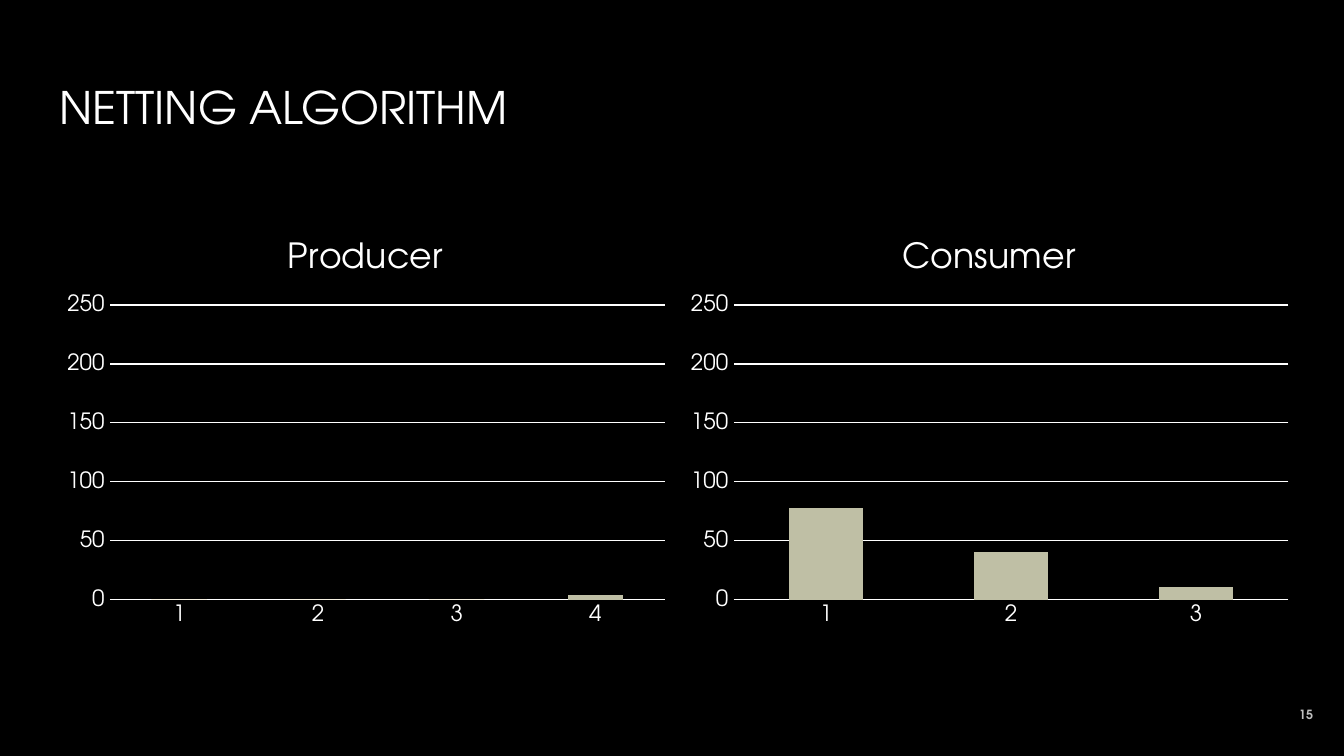
from lxml import etree
from pptx import Presentation
from pptx.chart.data import CategoryChartData
from pptx.dml.color import RGBColor
from pptx.enum.chart import XL_CHART_TYPE, XL_TICK_MARK
from pptx.enum.text import MSO_ANCHOR, MSO_AUTO_SIZE, PP_ALIGN
from pptx.oxml import parse_xml
from pptx.oxml.ns import nsdecls
from pptx.util import Inches, Pt

STACKED = XL_CHART_TYPE.COLUMN_STACKED
NO_TICK = XL_TICK_MARK.NONE
TOP, MIDDLE = MSO_ANCHOR.TOP, MSO_ANCHOR.MIDDLE
LEFT, RIGHT = PP_ALIGN.LEFT, PP_ALIGN.RIGHT
NO_FIT = MSO_AUTO_SIZE.NONE

WIDTH = 10
HEIGHT = WIDTH * 9 / 16
FONT = "TeX Gyre Adventor"
WHITE, BLACK, GREY = "FFFFFF", "000000", "BFBFBF"
SERIES_COLOURS = ("BFBFA5", "E7BF5F")
CHART_LEFT, CHART_TOP, CHART_WIDTH, CHART_HEIGHT = 0.4, 1.62, 4.64, 3.09
PLOT_SHARES = {"x": 0.09, "y": 0.21, "w": 0.89, "h": 0.71}
CHARTS = (("Producer", (0, 0, 0, 4)), ("Consumer", (78, 40, 11)))


def colour(value):
    return RGBColor.from_string(value)


def format_font(font, size, fill=WHITE, bold=False):
    font.name = FONT
    font.size = Pt(size)
    font.bold = bold
    font.color.rgb = colour(fill)


def write_text(frame, text, size, fill=WHITE, bold=False, align=LEFT, anchor=MIDDLE):
    frame.word_wrap = True
    frame.auto_size = NO_FIT
    frame.vertical_anchor = anchor
    frame.margin_left = frame.margin_right = Inches(0.1)
    frame.margin_top = frame.margin_bottom = Inches(0.1)
    para = frame.paragraphs[0]
    para.alignment = align
    span = para.add_run()
    span.text = text
    format_font(span.font, size, fill, bold)


def place_title(page, text, box):
    title = page.shapes.title
    title.left, title.top, title.width, title.height = map(Inches, box)
    write_text(title.text_frame, text, 24, anchor=TOP)


def place_page_number(page, text, box):
    number = page.shapes.add_textbox(*map(Inches, box))
    write_text(number.text_frame, text, 6.8, fill=GREY, bold=True, align=RIGHT)


def format_line(line):
    line.color.rgb = colour(WHITE)
    line.width = Pt(0.75)


def fix_plot_area(chart):
    layout = parse_xml(f"<c:layout {nsdecls('c')}><c:manualLayout/></c:layout>")
    settings = {"layoutTarget": "inner", "xMode": "edge", "yMode": "edge", **PLOT_SHARES}
    namespace = layout.nsmap["c"]
    for name, value in settings.items():
        etree.SubElement(layout[0], f"{{{namespace}}}{name}", val=str(value))
    plot_area = chart.plots[0]._element.getparent()
    for old in plot_area.findall(f"{{{namespace}}}layout"):
        plot_area.remove(old)
    plot_area.insert(0, layout)


def format_axes(chart):
    for axis in (chart.category_axis, chart.value_axis):
        axis.major_tick_mark = axis.minor_tick_mark = NO_TICK
        format_font(axis.tick_labels.font, 12)
    format_line(chart.category_axis.format.line)
    values = chart.value_axis
    values.maximum_scale = 250
    values.format.line.fill.background()
    values.has_major_gridlines = True
    format_line(values.major_gridlines.format.line)


def place_chart(page, heading, amounts, box):
    data = CategoryChartData()
    data.categories = [str(index + 1) for index in range(len(amounts))]
    data.add_series("Series 1", amounts)
    data.add_series("Series 2", [0] * len(amounts))
    chart = page.shapes.add_chart(STACKED, *map(Inches, box), data).chart
    format_font(chart.font, 10)
    chart.has_legend = False
    chart.has_title = True
    span = chart.chart_title.text_frame.paragraphs[0].add_run()
    span.text = heading
    format_font(span.font, 18.6)
    chart.chart_title.include_in_layout = False
    plot = chart.plots[0]
    plot.gap_width, plot.overlap = 150, 100
    plot.vary_by_categories = False
    for series, fill in zip(plot.series, SERIES_COLOURS):
        series.format.fill.solid()
        series.format.fill.fore_color.rgb = colour(fill)
    format_axes(chart)
    fix_plot_area(chart)


def build_page(deck):
    page = deck.slides.add_slide(deck.slide_layouts[5])
    page.background.fill.solid()
    page.background.fill.fore_color.rgb = colour(BLACK)
    place_title(page, "NETTING ALGORITHM", (0.34, 0.49, 9.32, 0.63))
    for column, (heading, amounts) in enumerate(CHARTS):
        left = CHART_LEFT + column * CHART_WIDTH
        place_chart(page, heading, amounts, (left, CHART_TOP, CHART_WIDTH, CHART_HEIGHT))
    place_page_number(page, "15", (9.27, 5.1, 0.6, 0.43))


def main():
    deck = Presentation()
    deck.slide_width, deck.slide_height = Inches(WIDTH), Inches(HEIGHT)
    build_page(deck)
    deck.save("out.pptx")


if __name__ == "__main__":
    main()
